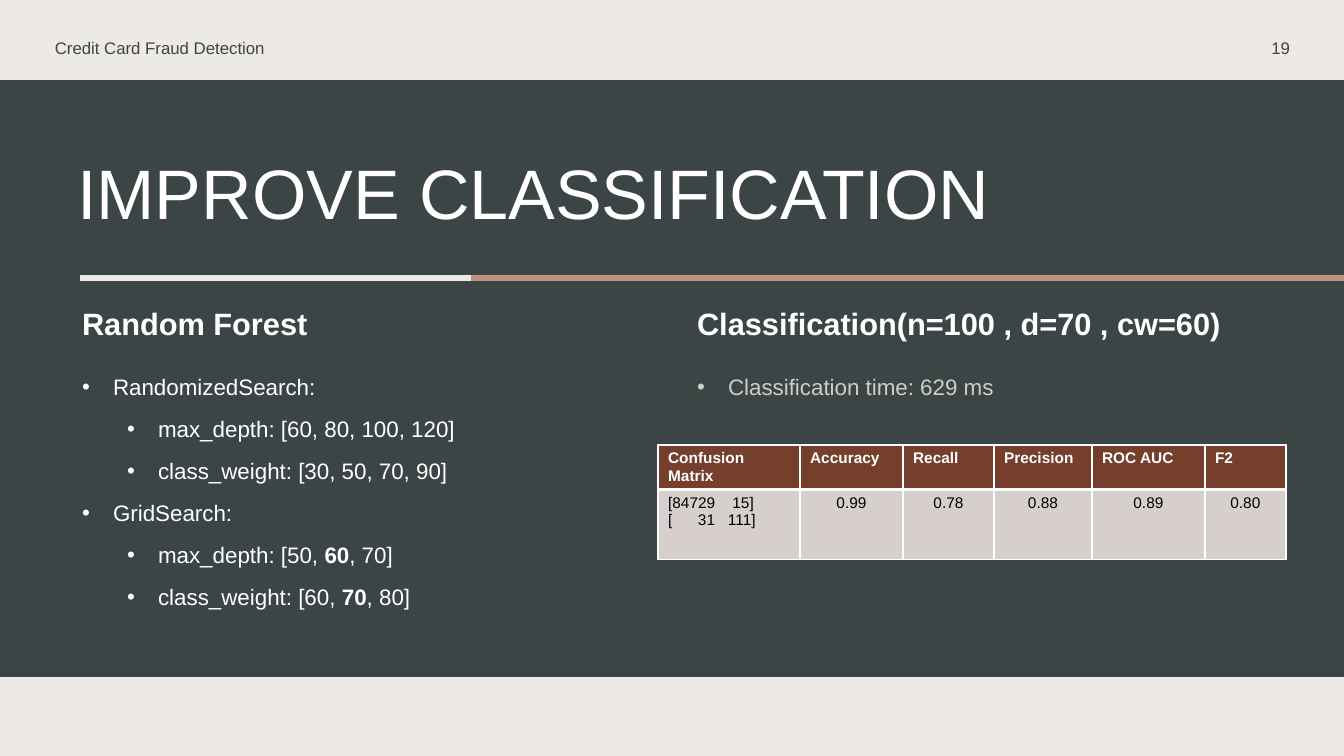
"""Builds the slide on improving the fraud classification."""
from lxml import etree
from pptx import Presentation
from pptx.dml.color import RGBColor
from pptx.enum.shapes import MSO_CONNECTOR, MSO_SHAPE
from pptx.enum.text import MSO_ANCHOR, MSO_AUTO_SIZE, PP_ALIGN
from pptx.oxml.ns import qn
from pptx.util import Emu, Pt

LEFT, CENTER, RIGHT = PP_ALIGN.LEFT, PP_ALIGN.CENTER, PP_ALIGN.RIGHT
TOP, MIDDLE = MSO_ANCHOR.TOP, MSO_ANCHOR.MIDDLE
STRAIGHT, RECTANGLE = MSO_CONNECTOR.STRAIGHT, MSO_SHAPE.RECTANGLE
FIXED = MSO_AUTO_SIZE.NONE

COLORS = {"paper": "EDE9E6", "slate": "3B4546", "copper": "BE937E", "white": "FFFFFF",
          "sand": "D0CDC5", "rust": "753F2C", "ash": "D6CFCD", "black": "000000"}
FONT = "Arial"
WIDTH, HEIGHT = 1344, 756

TITLE = "IMPROVE CLASSIFICATION"
TOPIC, PAGE = "Credit Card Fraud Detection", "19"
FOREST_HEADING = "Random Forest"
RESULT_HEADING = "Classification(n=100 , d=70 , cw=60)"
SEARCHES = [
    (0, "RandomizedSearch:"),
    (1, "max_depth: [60, 80, 100, 120]"),
    (1, "class_weight: [30, 50, 70, 90]"),
    (0, "GridSearch:"),
    (1, "max_depth: [50, *60*, 70]"),
    (1, "class_weight: [60, *70*, 80]"),
]
TIMING = [(0, "Classification time: 629 ms")]
SCORES = [
    ["Confusion Matrix", "Accuracy", "Recall", "Precision", "ROC AUC", "F2"],
    ["[84729    15]\v[      31   111]", "0.99", "0.78", "0.88", "0.89", "0.80"],
]
SCORE_WIDTHS = [142, 103, 91, 98, 113, 81]
SCORE_HEIGHTS = [44, 70]
RULES = [(471, WIDTH, "copper"), (80, 471, "paper")]
BULLET_INDENTS = [31, 76]

HEADING_STYLE = {"size": 22, "color": "white", "bold": True}
LIST_STYLE = {"size": 16, "color": "white", "spacing": 1.5, "before": 1.2}
FOOTER_STYLE = {"size": 12, "color": "slate"}


def px(length):
    return Emu(round(length * 914400 / 100.8))


def rgb(name):
    return RGBColor.from_string(COLORS[name])


def write(paragraph, text, size, color, bold=False, align=LEFT, spacing=1.0, before=0):
    layout = {"alignment": align, "line_spacing": spacing, "space_before": Pt(before)}
    for attribute, value in layout.items():
        setattr(paragraph, attribute, value)
    for position, part in enumerate(text.split("*")):
        for line_number, line in enumerate(part.split("\v")):
            if line_number:
                paragraph.add_line_break()
            run = paragraph.add_run()
            run.text = line
            look = {"name": FONT, "size": Pt(size), "bold": bold or position % 2 == 1}
            for attribute, value in look.items():
                setattr(run.font, attribute, value)
            run.font.color.rgb = rgb(color)


def place(shape, left, top, width, height, anchor=TOP):
    box = {"left": left, "top": top, "width": width, "height": height}
    for attribute, value in box.items():
        setattr(shape, attribute, px(value))
    frame = shape.text_frame
    settings = {"word_wrap": True, "auto_size": FIXED, "vertical_anchor": anchor}
    for attribute, value in settings.items():
        setattr(frame, attribute, value)
    return frame


def write_list(frame, items, style):
    for number, (level, text) in enumerate(items):
        paragraph = frame.add_paragraph() if number else frame.paragraphs[0]
        paragraph.level = level
        write(paragraph, text, **style)
        properties = paragraph._p.get_or_add_pPr()
        properties.set("marL", str(px(BULLET_INDENTS[level])))
        properties.set("indent", str(-px(BULLET_INDENTS[0])))
        etree.SubElement(properties, qn("a:buFont")).set("typeface", FONT)
        etree.SubElement(properties, qn("a:buChar")).set("char", "•")


def add_border(cell, side, points):
    line = etree.SubElement(cell._tc.get_or_add_tcPr(), qn("a:ln" + side))
    line.set("w", str(Pt(points)))
    fill = etree.SubElement(line, qn("a:solidFill"))
    etree.SubElement(fill, qn("a:srgbClr")).set("val", COLORS["white"])


def add_scores(slide):
    table = slide.shapes.add_table(
        len(SCORES), len(SCORE_WIDTHS), px(658), px(445),
        px(sum(SCORE_WIDTHS)), px(sum(SCORE_HEIGHTS))).table
    for column, width in zip(table.columns, SCORE_WIDTHS):
        column.width = px(width)
    for row, height in zip(table.rows, SCORE_HEIGHTS):
        row.height = px(height)
    for row_number, values in enumerate(SCORES):
        header = row_number == 0
        for column_number, value in enumerate(values):
            cell = table.cell(row_number, column_number)
            for side in "LRTB":
                add_border(cell, side, 3 if header == (side == "B") and (header or side == "T") else 1)
            cell.fill.solid()
            cell.fill.fore_color.rgb = rgb("rust" if header else "ash")
            write(cell.text_frame.paragraphs[0], value, 11, "white" if header else "black",
                  bold=header, align=LEFT if header or column_number == 0 else CENTER)


def main():
    deck = Presentation()
    deck.slide_width, deck.slide_height = px(WIDTH), px(HEIGHT)
    slide = deck.slides.add_slide(deck.slide_layouts.get_by_name("Comparison"))
    slide.background.fill.solid()
    slide.background.fill.fore_color.rgb = rgb("paper")
    title, forest, searches, result, timing = slide.placeholders

    band = slide.shapes.add_shape(RECTANGLE, 0, px(80), px(WIDTH), px(597))
    band.shadow.inherit = False
    band.fill.solid()
    band.fill.fore_color.rgb = rgb("slate")
    band.line.fill.background()
    slide.shapes._spTree.insert(2, band._element)

    for start, end, color in RULES:
        rule = slide.shapes.add_connector(STRAIGHT, px(start), px(278), px(end), px(278))
        rule.line.color.rgb = rgb(color)
        rule.line.width = Pt(4.5)
        etree.SubElement(rule._element.spPr, qn("a:effectLst"))

    write(place(title, 67, 161, 1159, 64).paragraphs[0], TITLE, 50, "white", spacing=0.8)
    for heading, left, text in [(forest, 72, FOREST_HEADING), (result, 687, RESULT_HEADING)]:
        write(place(heading, left, 300, 555, 54).paragraphs[0], text, **HEADING_STYLE)
    write_list(place(searches, 72, 355, 420, 262), SEARCHES, LIST_STYLE)
    write_list(place(timing, 687, 355, 420, 54), TIMING, {**LIST_STYLE, "color": "sand"})

    for text, left, width, align in [(TOPIC, 45, 239, LEFT), (PAGE, 1116, 184, RIGHT)]:
        footer = slide.shapes.add_textbox(0, 0, 0, 0)
        frame = place(footer, left, 33, width, 30, MIDDLE)
        write(frame.paragraphs[0], text, align=align, **FOOTER_STYLE)

    add_scores(slide)
    deck.save("out.pptx")


if __name__ == "__main__":
    main()
